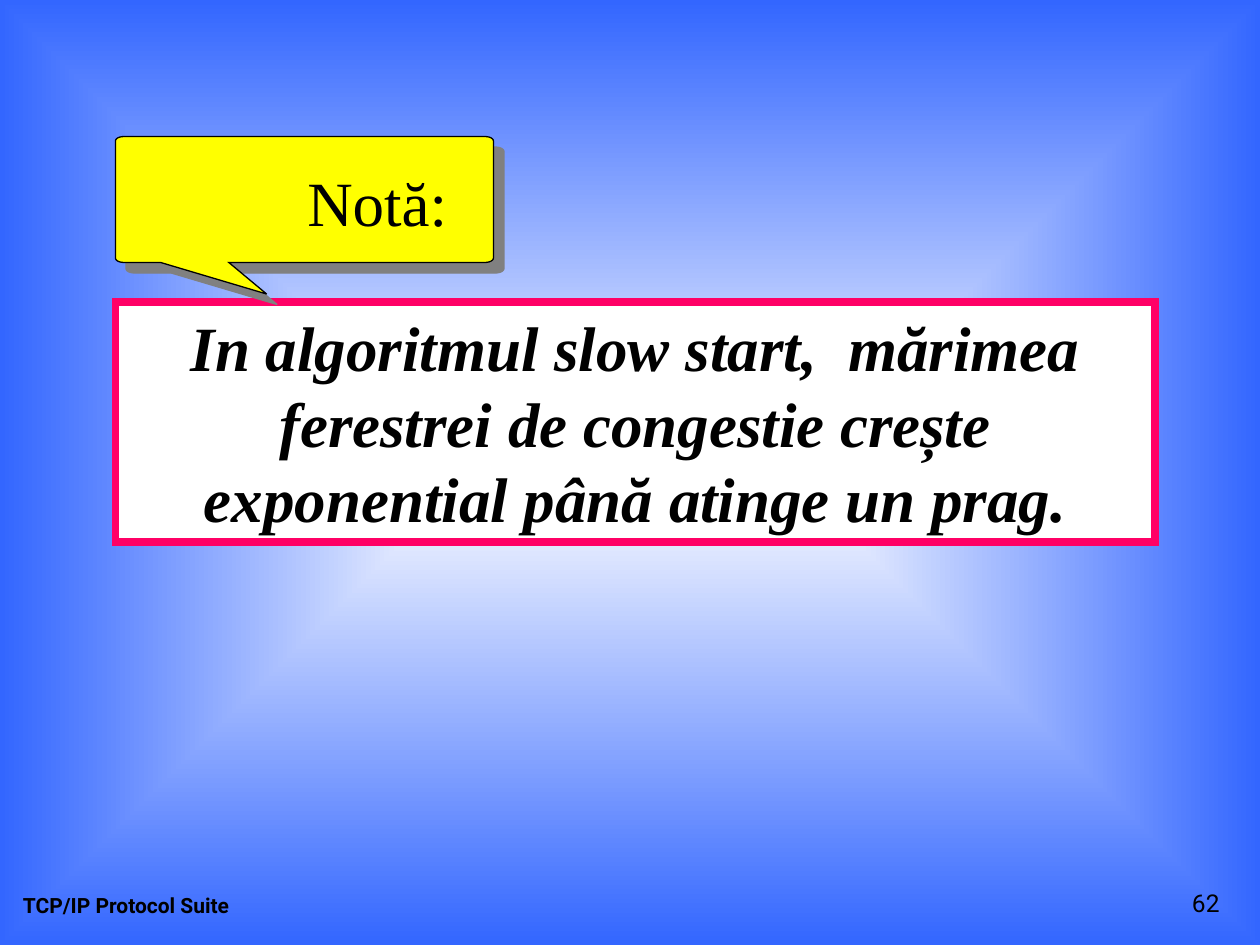
from math import cos, pi, sin

from lxml import etree
from pptx import Presentation
from pptx.dml.color import RGBColor
from pptx.enum.shapes import MSO_SHAPE
from pptx.enum.text import MSO_ANCHOR, PP_ALIGN
from pptx.oxml.ns import qn
from pptx.util import Pt

RECT = MSO_SHAPE.RECTANGLE
TOP, BOTTOM = MSO_ANCHOR.TOP, MSO_ANCHOR.BOTTOM
LEFT, CENTER, RIGHT = PP_ALIGN.LEFT, PP_ALIGN.CENTER, PP_ALIGN.RIGHT

COLORS = {"ink": "000000", "paper": "FFFFFF", "sky": "3366FF",
          "frame": "FF0066", "note": "FFFF00", "shade": "808080"}
SERIF, SANS = "Times New Roman", "Roboto"


def rgb(name):
    return RGBColor.from_string(COLORS[name])


def paint(shape, fill, line, width):
    """Give a shape a plain fill and an outline with sharp corners."""
    shape.fill.solid()
    shape.fill.fore_color.rgb = rgb(fill)
    shape.line.color.rgb = rgb(line)
    shape.line.width = Pt(width)
    edge = shape.element.spPr.find(qn("a:ln"))
    etree.SubElement(edge, qn("a:miter"), {"lim": "800000"})
    shape.shadow.inherit = False


def write(shape, text, align=LEFT, anchor=TOP, **style):
    frame = shape.text_frame
    frame.word_wrap = True
    frame.vertical_anchor = anchor
    para = frame.paragraphs[0]
    para.alignment = align
    run = para.add_run()
    run.text = text
    run.font.color.rgb = rgb("ink")
    for key, value in style.items():
        setattr(run.font, key, value)


def add_label(slide, box, text, **style):
    write(slide.shapes.add_textbox(*map(Pt, box)), text, **style)


def add_backdrop(slide):
    """Fill the background with a gradient from the centre to the edges."""
    fill = slide.background.fill
    fill.gradient()
    for stop, name, place in zip(fill.gradient_stops, ("paper", "sky"), (0, 1)):
        stop.color.rgb = rgb(name)
        stop.position = place
    grad = slide.element.find(".//" + qn("a:gradFill"))
    grad.remove(grad.find(qn("a:lin")))
    shade = etree.SubElement(grad, qn("a:path"), {"path": "rect"})
    sides = dict.fromkeys("ltrb", "50000")
    etree.SubElement(shade, qn("a:fillToRect"), sides)


def add_shadow(shape, color, dist, angle):
    effects = shape.element.spPr.find(qn("a:effectLst"))
    outer = etree.SubElement(effects, qn("a:outerShdw"), {
        "dist": str(Pt(dist)), "dir": str(angle * 60000),
        "algn": "ctr", "rotWithShape": "0"})
    etree.SubElement(outer, qn("a:srgbClr"), {"val": COLORS[color]})


def corner(x, y, rx, ry, start, steps=6):
    """Points of a quarter turn round (x, y), clockwise on the slide."""
    turns = [start + pi / 2 * i / steps for i in range(steps + 1)]
    return [(x + rx * cos(t), y + ry * sin(t)) for t in turns]


def add_callout(slide, box, text):
    x, y, w, h = box
    rx, ry = 5, 2.5
    right, low = x + w, y + h
    points = [
        *corner(x + rx, y + ry, rx, ry, pi),
        *corner(right - rx, y + ry, rx, ry, -pi / 2),
        *corner(right - rx, low - ry, rx, ry, 0),
        (x + 0.3 * w, low), (x + 0.4 * w, low + 18), (x + 0.12 * w, low),
        *corner(x + rx, low - ry, rx, ry, pi / 2),
    ]
    first, *rest = [(Pt(px), Pt(py)) for px, py in points]
    pen = slide.shapes.build_freeform(*first)
    pen.add_line_segments(rest, close=True)
    bubble = pen.convert_to_shape()
    paint(bubble, "note", "ink", 0.75)
    add_shadow(bubble, "shade", 8.5, 45)
    add_label(slide, (x + 102.5, y + 12, 110, 50), text,
              name=SERIF, size=Pt(36))


def add_panel(slide, box, text):
    panel = slide.shapes.add_shape(RECT, *map(Pt, box))
    paint(panel, "paper", "frame", 4.5)
    write(panel, text, align=CENTER, name=SERIF, size=Pt(36),
          bold=True, italic=True)


def add_footer(slide, box, text, number):
    x, y, w, h = box
    add_label(slide, (x, y, 228, h), text, anchor=BOTTOM,
              name=SANS, size=Pt(12), bold=True)
    add_label(slide, (x + w - 150, y, 150, h), number, align=RIGHT,
              anchor=BOTTOM, name=SANS, size=Pt(14))


def main():
    deck = Presentation()
    deck.slide_width, deck.slide_height = Pt(720), Pt(540)
    slide = deck.slides.add_slide(deck.slide_layouts[6])
    add_backdrop(slide)
    add_footer(slide, (6, 492, 698, 36), "TCP/IP Protocol Suite", "62")
    add_panel(slide, (66, 172.8, 594, 136.8),
              "In algoritmul slow start,  mărimea ferestrei de congestie "
              "crește exponential până atinge un prag.")
    add_callout(slide, (66, 78, 216, 72), "Notă:")
    deck.save("out.pptx")


if __name__ == "__main__":
    main()
